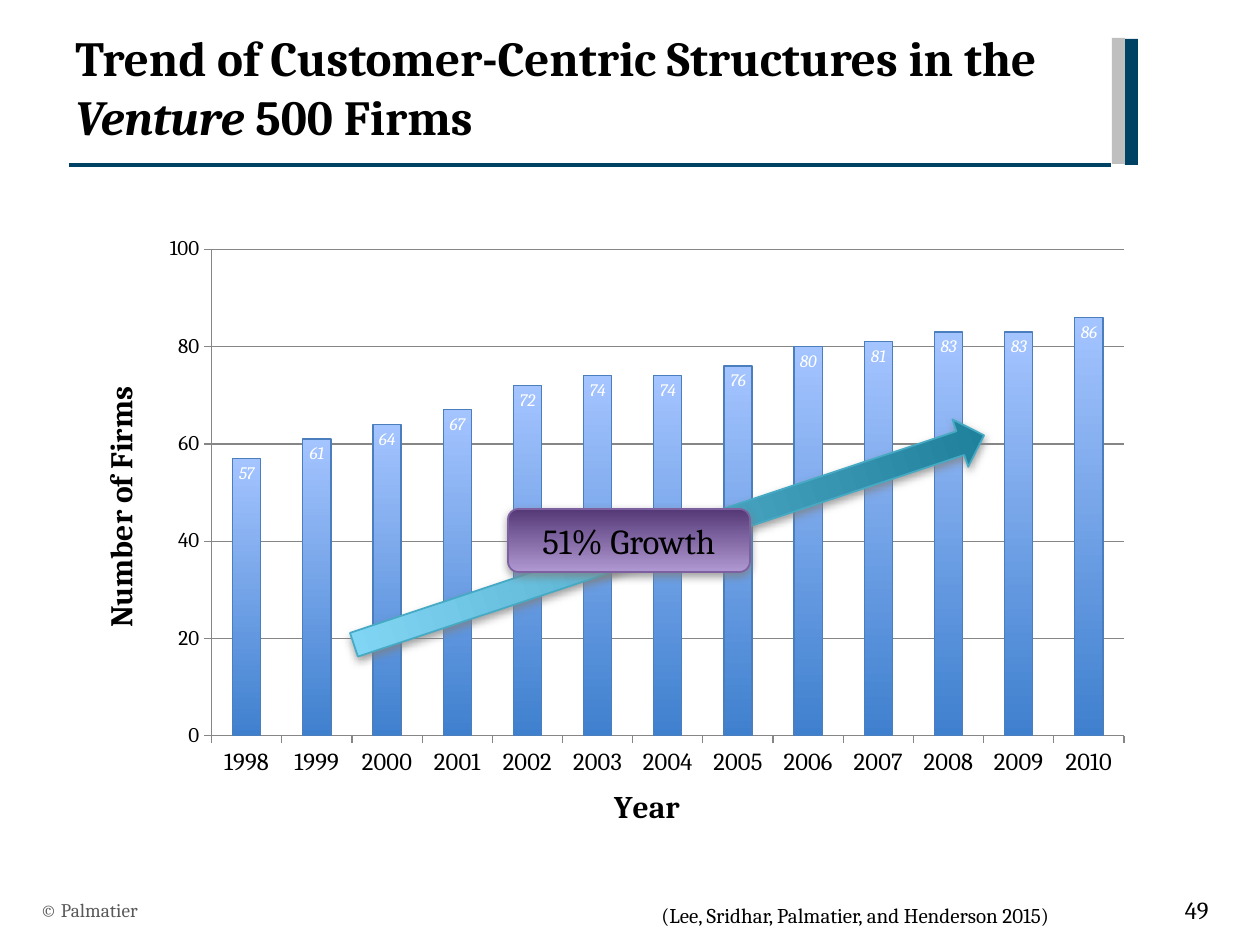
from lxml.etree import SubElement as Sub
from pptx import Presentation
from pptx.chart.data import CategoryChartData as Data
from pptx.dml.color import RGBColor as RGB
from pptx.enum.chart import XL_CHART_TYPE as Kind, XL_LABEL_POSITION as Pos
from pptx.enum.chart import XL_TICK_MARK as Tick
from pptx.enum.shapes import MSO_CONNECTOR as Link, MSO_SHAPE as Form
from pptx.enum.text import MSO_ANCHOR as Anchor, PP_ALIGN as Align
from pptx.oxml import parse_xml
from pptx.oxml.ns import nsdecls, qn
from pptx.util import Pt

PX = 914400 / 126
FONT = "Cambria"
NAVY, GREY, AXIS = "004264", "BFBFBF", "868686"


def paint(fill, *tones, turn=270):
    """Fill with one colour, or with a gradient from the first to the second."""
    if len(tones) == 1:
        fill.solid()
        fill.fore_color.rgb = RGB.from_string(tones[0])
        return
    fill.gradient()
    fill.gradient_angle = turn
    for stop, tone in zip(fill.gradient_stops, tones):
        stop.color.rgb = RGB.from_string(tone)


def style(font, size, tone="000000", **more):
    look = {"name": FONT, "size": Pt(size), "bold": False, "italic": False}
    for key, val in (look | more).items():
        setattr(font, key, val)
    paint(font.fill, tone)


deck = Presentation()
deck.slide_width, deck.slide_height = round(1260 * PX), round(945 * PX)
slide = deck.slides.add_slide(deck.slide_layouts[6])
shapes = slide.shapes

# Title rule and side bars
rule = shapes.add_connector(Link.STRAIGHT, *[round(n * PX) for n in (69, 165, 1111, 165)])
paint(rule.line.fill, NAVY)
rule.line.width = Pt(2)
Sub(rule._element.spPr, qn("a:effectLst"))

for left, top, tone in [(1125, 39, NAVY), (1112, 38, GREY)]:
    bar = shapes.add_shape(Form.RECTANGLE, *[round(n * PX) for n in (left, top, 13, 126)])
    bar.shadow.inherit = False
    paint(bar.fill, tone)
    bar.line.fill.background()

# Chart
data = Data()
data.categories = [str(year) for year in range(1998, 2011)]
data.add_series("Series 1", (57, 61, 64, 67, 72, 74, 74, 76, 80, 81, 83, 83, 86))
area = [round(n * PX) for n in (94, 214, 1050, 622)]
chart = shapes.add_chart(Kind.COLUMN_STACKED, *area, data).chart
chart.has_title = chart.has_legend = False
style(chart.font, 12)

plot = chart.plots[0]
plot.gap_width, plot.overlap, plot.vary_by_categories = 150, 100, False
bars = plot.series[0]
paint(bars.format.fill, "3F80CE", "A4C4FF", turn=90)
paint(bars.format.line.fill, "4B7EBC")
bars.format.line.width = Pt(0.75)
marks = bars.data_labels
marks.show_value, marks.position = True, Pos.INSIDE_END
style(marks.font, 10, "FFFFFF", italic=True)

years, firms = chart.category_axis, chart.value_axis
for axis, name, size in [(years, "Year", 14), (firms, "Number of Firms", 12)]:
    axis.major_tick_mark, axis.minor_tick_mark = Tick.OUTSIDE, Tick.NONE
    style(axis.tick_labels.font, size)
    paint(axis.format.line.fill, AXIS)
    frame = axis.axis_title.text_frame
    frame.text = name
    style(frame.paragraphs[0].runs[0].font, 18, bold=True)
frame._txBody.bodyPr.set("rot", "-5400000")
frame._txBody.bodyPr.set("vert", "horz")
firms.minimum_scale, firms.maximum_scale, firms.major_unit = 0, 100, 20
years.has_major_gridlines, firms.has_major_gridlines = False, True
paint(firms.major_gridlines.format.line.fill, AXIS)

inner = {"layoutTarget": "inner", "xMode": "edge", "yMode": "edge",
         "x": 0.112, "y": 0.057, "w": 0.869, "h": 0.782}
grid = chart._chartSpace.chart.plotArea
for old in grid.findall(qn("c:layout")):
    grid.remove(old)
layout = parse_xml(f"<c:layout {nsdecls('c')}/>")
grid.insert(0, layout)
manual = Sub(layout, qn("c:manualLayout"))
for key, val in inner.items():
    Sub(manual, qn(f"c:{key}")).set("val", str(val))

# Growth arrow and its label
for form, box, tones, edge in [
    (Form.UP_ARROW, (644, 208, 50, 664), ("1E7F9A", "83D7F6"), "46AAC5"),
    (Form.ROUNDED_RECTANGLE, (508, 509, 242, 63), ("553977", "B099D2"), "7D60A0"),
]:
    item = shapes.add_shape(form, *[round(n * PX) for n in box])
    paint(item.fill, *tones)
    paint(item.line.fill, edge)
    item.line.width = Pt(1)
    item.rotation = 71.6 if form == Form.UP_ARROW else 0
    item._element.spPr.append(parse_xml(
        f'<a:effectLst {nsdecls("a")}><a:outerShdw blurRad="{Pt(5)}" dist="{Pt(2)}" '
        'dir="5400000" rotWithShape="0"><a:srgbClr val="808080"><a:alpha val="75000"/>'
        '</a:srgbClr></a:outerShdw></a:effectLst>'))
item.text_frame.vertical_anchor = Anchor.MIDDLE
para = item.text_frame.paragraphs[0]
para.alignment = Align.CENTER
run = para.add_run()
run.text = "51% Growth"
style(run.font, 20)

# Title and footer
title = [("Trend of Customer-Centric Structures in the ", False),
         ("Venture", True), (" 500 Firms", False)]
cite = [("(Lee, Sridhar, Palmatier, and Henderson 2015)", False)]
for box, runs, size, tone, bold, anchor, align in [
    ((63, 21, 1045, 105), title, 28, "000000", True, Anchor.TOP, Align.LEFT),
    ((649, 896, 578, 38), cite, 12, "000000", False, Anchor.TOP, Align.LEFT),
    ((28, 885, 844, 50), [("© Palmatier", False)], 11, "595959", False, Anchor.MIDDLE, Align.LEFT),
    ((1144, 885, 77, 50), [("49", False)], 14, "000000", False, Anchor.MIDDLE, Align.RIGHT),
]:
    frame = shapes.add_textbox(*[round(n * PX) for n in box]).text_frame
    frame.word_wrap, frame.vertical_anchor = True, anchor
    para = frame.paragraphs[0]
    para.alignment = align
    for text, slant in runs:
        run = para.add_run()
        run.text = text
        style(run.font, size, tone, bold=bold, italic=slant)

deck.save("out.pptx")
